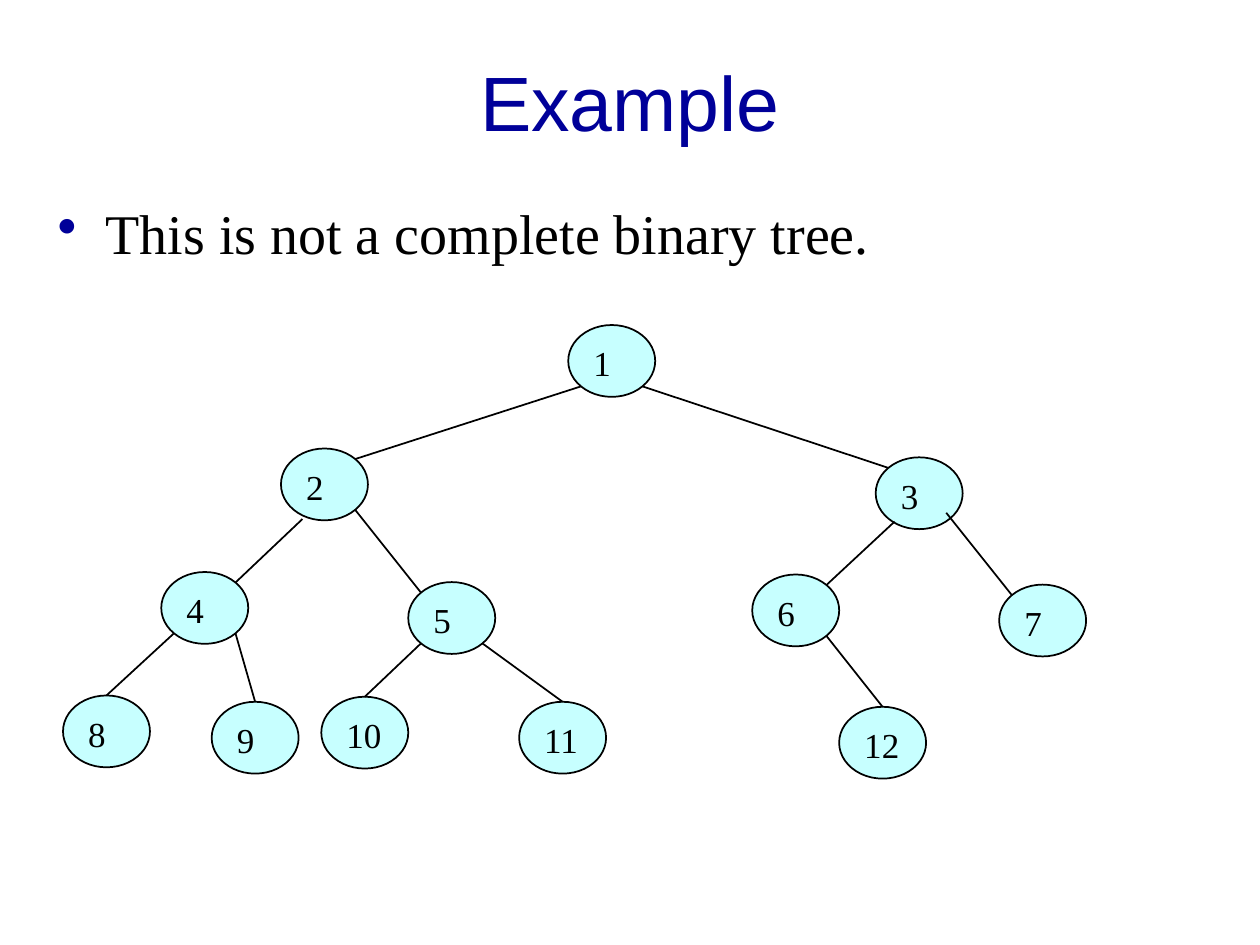
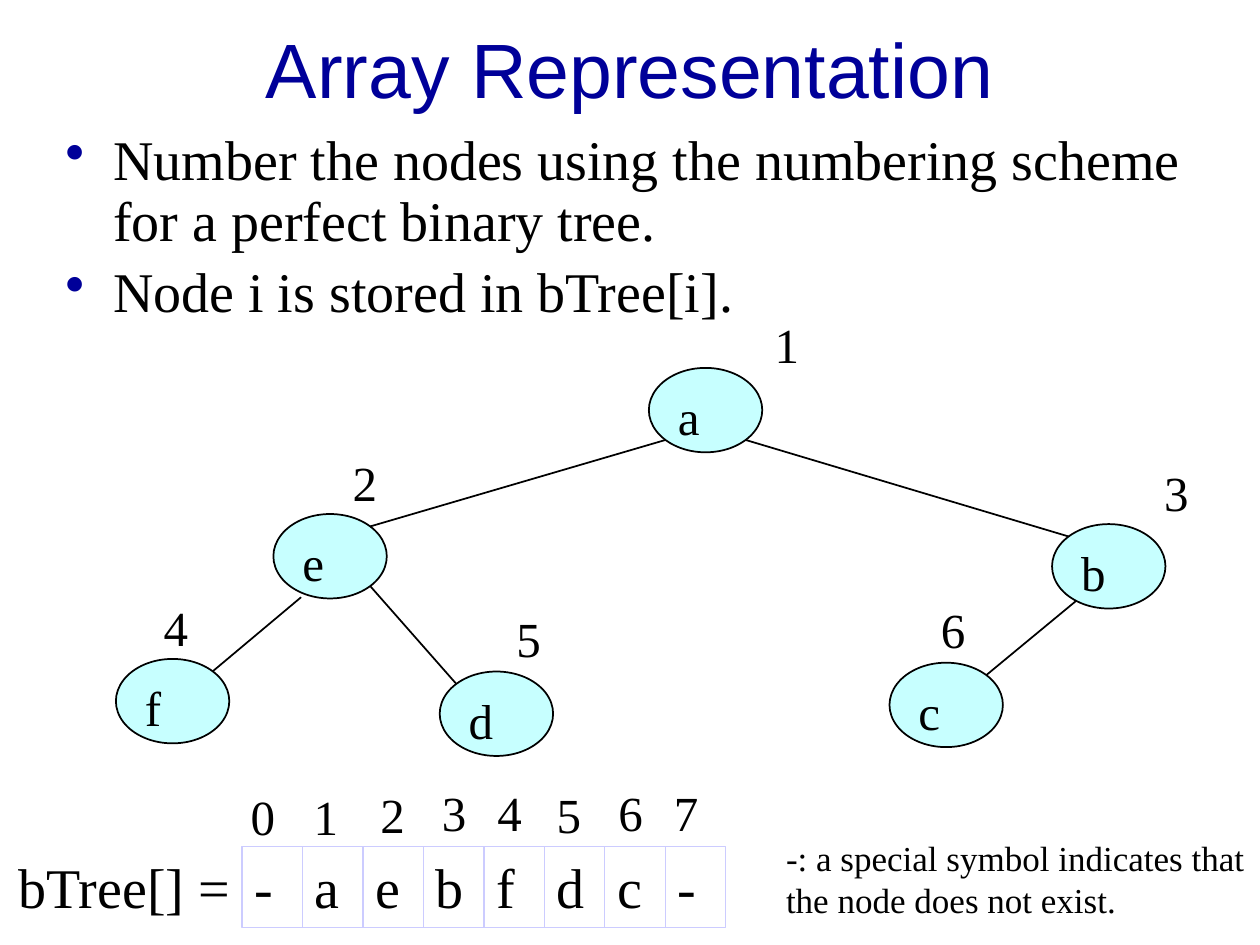
"""Two slides on numbering binary trees and storing them in an array."""
import lxml.etree
import pptx
import pptx.dml.color
import pptx.enum.shapes
import pptx.enum.text
import pptx.oxml.ns
import pptx.util

Inches = pptx.util.Inches
Pt = pptx.util.Pt
SHAPE = pptx.enum.shapes.MSO_SHAPE
ANCHOR = pptx.enum.text.MSO_ANCHOR
ALIGN = pptx.enum.text.PP_ALIGN
qn = pptx.oxml.ns.qn

COLORS = {"title": "000099", "text": "000000", "node": "C7FFFF",
          "line": "000000", "cell": "CCCCFF"}
SERIF = "Times New Roman"
DIAGONAL = 0.1464


def rgb(name):
    return pptx.dml.color.RGBColor.from_string(COLORS[name])


def add_bullet(p):
    pPr = p._p.get_or_add_pPr()
    pPr.set("marL", str(Inches(0.38)))
    pPr.set("indent", str(-Inches(0.38)))
    clr = lxml.etree.SubElement(pPr, qn("a:buClr"))
    lxml.etree.SubElement(clr, qn("a:srgbClr"), val=COLORS["title"])
    lxml.etree.SubElement(pPr, qn("a:buChar"), char="•")


def write(sp, text, size=28, font=SERIF, color="text", align=ALIGN.LEFT,
          anchor=ANCHOR.TOP, wrap=True, bullet=False):
    tf = sp.text_frame
    tf.word_wrap = wrap
    tf.vertical_anchor = anchor
    for i, line in enumerate(text.split("\n")):
        p = tf.add_paragraph() if i else tf.paragraphs[0]
        p.alignment = align
        if bullet:
            p.line_spacing = 0.9
            p.space_before = Pt(size * 0.2 if i else 0)
            add_bullet(p)
        r = p.add_run()
        r.text = line
        r.font.size = Pt(size)
        r.font.name = font
        r.font.color.rgb = rgb(color)


def add_text(s, box, text, **fmt):
    write(s.shapes.add_textbox(*map(Inches, box)), text, **fmt)


def add_heading(s, title_box, title, body_box, body):
    add_text(s, title_box, title, size=44, font="Arial", color="title",
             align=ALIGN.CENTER, anchor=ANCHOR.MIDDLE)
    add_text(s, body_box, body, size=32, bullet=True)


def add_box(shapes, kind, box, text, size, line, width, fill=None):
    sp = shapes.add_shape(kind, *map(Inches, box))
    sp.shadow.inherit = False
    if fill:
        sp.fill.solid()
        sp.fill.fore_color.rgb = rgb(fill)
    else:
        sp.fill.background()
    sp.line.color.rgb = rgb(line)
    sp.line.width = Pt(width)
    write(sp, text, size=size)
    return sp


def add_edge(shapes, start, end):
    c = shapes.add_connector(pptx.enum.shapes.MSO_CONNECTOR.STRAIGHT,
                             *map(Inches, start + end))
    c.line.color.rgb = rgb("line")
    c.line.width = Pt(1)
    lxml.etree.SubElement(c._element.spPr, qn("a:effectLst"))
    return c


def corner(place, size, right, bottom):
    """Return the point on an ellipse's outline towards one corner of its box."""
    return tuple(at + length * (1 - DIAGONAL if far else DIAGONAL)
                 for at, length, far in zip(place, size, (right, bottom)))


def add_tree(s, places, labels, size, font_size, starts):
    """Draw numbered nodes and join each node n to its parent n // 2."""
    shapes = s.shapes.add_group_shape().shapes
    nodes = {n: add_box(shapes, SHAPE.OVAL, place + size, labels[n],
                        font_size, "line", 1, "node")
             for n, place in places.items()}
    for n, place in places.items():
        if n == 1:
            continue
        parent = places[n // 2]
        right = place[0] > parent[0]
        start = starts.get(n) or corner(parent, size, right, True)
        c = add_edge(shapes, start, corner(place, size, not right, False))
        if n >= 8:
            c.end_connect(nodes[n], 0)


def build_example(s):
    add_heading(s, (0.75, 0.17, 8.5, 1.25), "Example",
                (0.36, 1.59, 8.5, 0.58), "This is not a complete binary tree.")
    places = {1: (4.51, 2.58), 2: (2.23, 3.56), 3: (6.95, 3.63),
              4: (1.28, 4.54), 5: (3.24, 4.62), 6: (5.97, 4.56),
              7: (7.93, 4.64), 8: (0.5, 5.52), 9: (1.68, 5.57),
              10: (2.55, 5.53), 11: (4.12, 5.57), 12: (6.66, 5.61)}
    add_tree(s, places, {n: str(n) for n in places}, (0.69, 0.57), 20,
             {4: (2.4, 4.12), 6: (7.1, 4.14), 7: (7.51, 4.07)})


def build_array(s):
    add_heading(s, (0.75, 0.12, 8.5, 0.83), "Array Representation",
                (0.42, 1, 9.17, 1.58),
                "Number the nodes using the numbering scheme for a perfect "
                "binary tree.\nNode i is stored in bTree[i].")
    values = "-aebfdc-"
    places = {1: (5.15, 2.92), 2: (2.17, 4.08), 3: (8.35, 4.16),
              4: (0.92, 5.23), 5: (3.49, 5.33), 6: (7.06, 5.26)}
    add_tree(s, places, values, (0.9, 0.67), 28,
             {4: (2.39, 4.74), 6: (8.54, 4.77)})
    numbers = [(6.05, 2.45), (2.7, 3.54), (9.14, 3.62),
               (1.2, 4.69), (4, 4.78), (7.37, 4.71)]
    indexes = [(1.89, 6.19), (2.39, 6.19), (2.92, 6.18), (3.41, 6.16),
               (3.85, 6.16), (4.32, 6.18), (4.81, 6.16), (5.25, 6.16)]
    for first, spots in ((1, numbers), (0, indexes)):
        for n, spot in enumerate(spots, first):
            add_text(s, spot + (0.4, 0.57), str(n), wrap=False)
    add_text(s, (0.05, 6.72, 1.9, 0.64), "bTree[] =", size=32, wrap=False)
    for i, value in enumerate(values):
        add_box(s.shapes, SHAPE.RECTANGLE, (1.92 + 0.48 * i, 6.72, 0.48, 0.64),
                value, 32, "cell", 0.75)
    add_text(s, (6.14, 6.59, 3.84, 0.77), "-: a special symbol indicates that "
             "the node does not exist.", size=20)


def main():
    prs = pptx.Presentation()
    prs.slide_width = Inches(10)
    prs.slide_height = Inches(7.5)
    for build in (build_example, build_array):
        build(prs.slides.add_slide(prs.slide_layouts[6]))
    prs.save("out.pptx")


if __name__ == "__main__":
    main()
